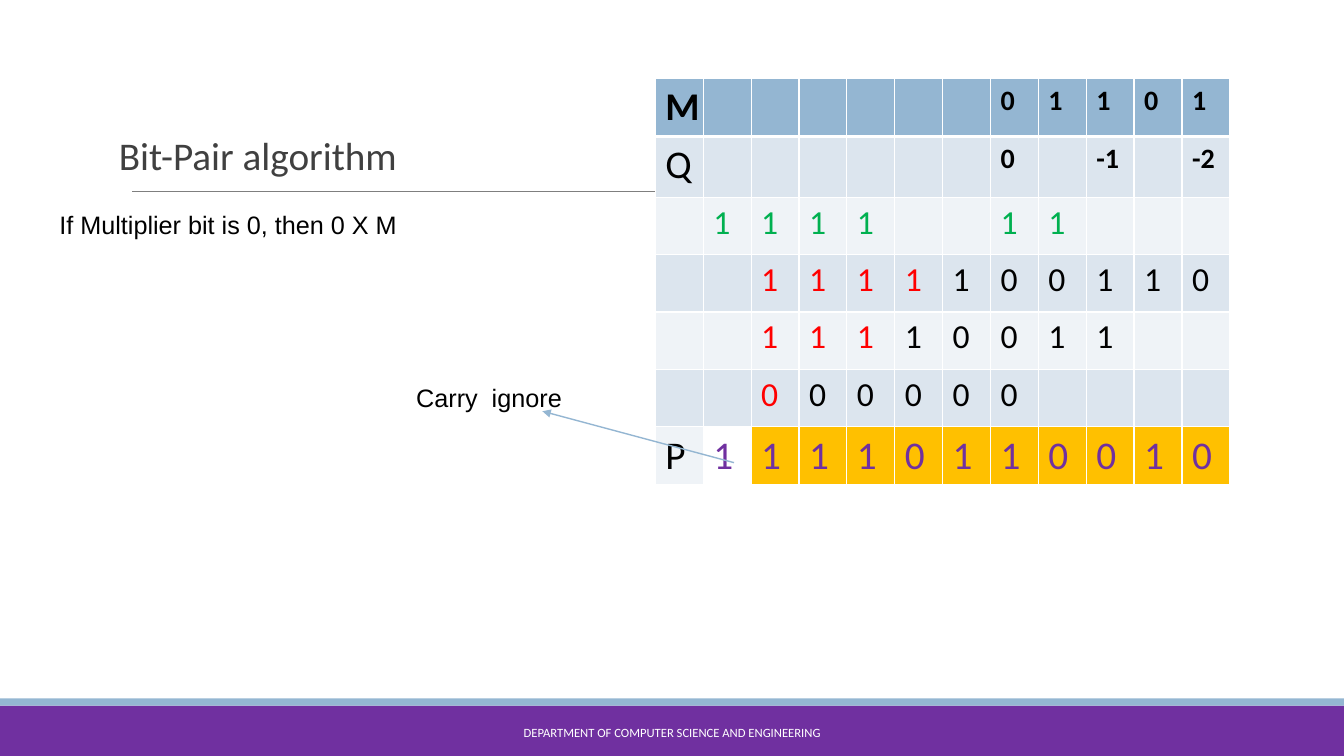
"""Build the bit-pair multiplication slide."""
import dataclasses

import lxml.etree
import pptx
import pptx.dml.color
import pptx.enum.shapes
import pptx.enum.text
import pptx.oxml.ns
import pptx.util

PX = 9144
ANCHOR = pptx.enum.text.MSO_ANCHOR
ALIGN = pptx.enum.text.PP_ALIGN


@dataclasses.dataclass(frozen=True)
class Theme:
    """Colours, fonts and type sizes."""
    purple: str = "7030A0"
    blue: str = "94B6D2"
    rule: str = "7F7F7F"
    title: str = "404040"
    black: str = "000000"
    white: str = "FFFFFF"
    green: str = "00B050"
    red: str = "FF0000"
    product: str = "FFC000"
    band_dark: str = "DCE5EE"
    band_light: str = "EFF3F7"
    heading_font: str = "Calibri"
    note_font: str = "Arial"
    large: int = 28
    digit: int = 24
    operand: int = 20
    note: int = 18
    footer: int = 9


THEME = Theme()
WORKING = (
    "M|||||||0|1|1|0|1",
    "Q|||||||0||-1||-2",
    "|1|1|1|1|||1|1|||",
    "||1|1|1|1|1|0|0|1|1|0",
    "||1|1|1|1|0|0|1|1||",
    "||0|0|0|0|0|0||||",
    "P|1|1|1|1|0|1|1|0|0|1|0",
)
SIGN_END = {3: 5, 4: 4, 5: 2}
PRODUCT_ROW = len(WORKING) - 1


def rgb(colour):
    """Return an RGBColor for a hex string."""
    return pptx.dml.color.RGBColor.from_string(colour)


def write_text(frame, text, *, size, colour, font=THEME.heading_font, bold=False,
               align=ALIGN.LEFT, spacing=None):
    """Write one formatted paragraph into a text frame."""
    paragraph = frame.paragraphs[0]
    paragraph.alignment = align
    paragraph.line_spacing = spacing
    run = paragraph.add_run()
    run.text = text
    run.font.size = pptx.util.Pt(size)
    run.font.name = font
    run.font.bold = bold
    run.font.color.rgb = rgb(colour)


def add_label(slide, bounds, text, *, anchor=ANCHOR.TOP, **text_format):
    """Add a wrapping text box."""
    frame = slide.shapes.add_textbox(*(n * PX for n in bounds)).text_frame
    frame.word_wrap = True
    frame.vertical_anchor = anchor
    write_text(frame, text, **text_format)


def add_bar(slide, bounds, colour):
    """Add a plain filled bar."""
    bar = slide.shapes.add_shape(pptx.enum.shapes.MSO_SHAPE.RECTANGLE,
                                 *(n * PX for n in bounds))
    bar.shadow.inherit = False
    bar.fill.solid()
    bar.fill.fore_color.rgb = rgb(colour)
    bar.line.fill.background()


def add_line(slide, ends, colour, width, arrow=False):
    """Add a straight line, with an arrowhead at its end if asked."""
    line = slide.shapes.add_connector(pptx.enum.shapes.MSO_CONNECTOR.STRAIGHT,
                                      *(n * PX for n in ends))
    line.line.color.rgb = rgb(colour)
    line.line.width = pptx.util.Pt(width)
    if arrow:
        outline = line.line._get_or_add_ln()
        lxml.etree.SubElement(outline, pptx.oxml.ns.qn("a:tailEnd"), type="triangle")
    properties = line._element.spPr
    lxml.etree.SubElement(properties, pptx.oxml.ns.qn("a:effectLst"))


def add_borders(cell, row):
    """Give a cell white borders, heavier between the two operand rows."""
    properties = cell._tc.get_or_add_tcPr()
    for side in "LRTB":
        heavy = (row, side) in ((0, "B"), (1, "T"))
        border = lxml.etree.SubElement(properties, pptx.oxml.ns.qn(f"a:ln{side}"),
                                       w=str(pptx.util.Pt(3 if heavy else 1)))
        fill = lxml.etree.SubElement(border, pptx.oxml.ns.qn("a:solidFill"))
        lxml.etree.SubElement(fill, pptx.oxml.ns.qn("a:srgbClr"), val=THEME.white)


def cell_fill(row, column):
    """Return the background of a table cell."""
    if row == 0:
        return THEME.blue
    if row == PRODUCT_ROW and column:
        return THEME.white if column == 1 else THEME.product
    return THEME.band_dark if row % 2 else THEME.band_light


def digit_format(row, column):
    """Return the text format of a table cell."""
    if column == 0:
        return dict(size=THEME.large, colour=THEME.black, bold=row == 0)
    if row < 2:
        return dict(size=THEME.operand, colour=THEME.black, bold=True)
    if row == 2:
        return dict(size=THEME.digit, colour=THEME.green)
    if row == PRODUCT_ROW:
        return dict(size=THEME.large, colour=THEME.purple)
    sign_bit = column <= SIGN_END[row]
    return dict(size=THEME.digit, colour=THEME.red if sign_bit else THEME.black)


def add_working(slide):
    """Add the multiplication table."""
    digits = [line.split("|") for line in WORKING]
    table = slide.shapes.add_table(len(digits), len(digits[0]), 650 * PX, 78 * PX,
                                   570 * PX, 402 * PX).table
    table.first_row = False
    table.horz_banding = False
    for row, line in enumerate(digits):
        table.rows[row].height = (60 if row == 1 else 57) * PX
        for column, digit in enumerate(line):
            cell = table.cell(row, column)
            add_borders(cell, row)
            cell.fill.solid()
            cell.fill.fore_color.rgb = rgb(cell_fill(row, column))
            if digit:
                write_text(cell.text_frame, digit, **digit_format(row, column))


def main():
    """Build and save the slide."""
    deck = pptx.Presentation()
    deck.slide_width, deck.slide_height = 1333 * PX, 750 * PX
    slide = deck.slides.add_slide(deck.slide_layouts[6])
    note = dict(size=THEME.note, colour=THEME.black, font=THEME.note_font)

    add_bar(slide, (0, 700, 1333, 50), THEME.purple)
    add_bar(slide, (0, 693, 1333, 7), THEME.blue)
    add_line(slide, (131, 190, 1220, 190), THEME.rule, 0.75)
    add_working(slide)
    add_label(slide, (403, 707, 527, 40), "DEPARTMENT OF COMPUTER SCIENCE AND ENGINEERING",
              anchor=ANCHOR.MIDDLE, align=ALIGN.CENTER, size=THEME.footer,
              colour=THEME.white)
    add_label(slide, (108, 74, 892, 108), "Bit-Pair algorithm", anchor=ANCHOR.BOTTOM,
              size=THEME.large, colour=THEME.title, spacing=0.85)
    add_label(slide, (49, 203, 575, 101), "If Multiplier bit is 0, then 0 X M", **note)
    add_label(slide, (403, 374, 176, 40), "Carry  ignore", **note)
    add_line(slide, (728, 459, 538, 408), THEME.blue, 1, arrow=True)
    deck.save("out.pptx")


if __name__ == "__main__":
    main()
